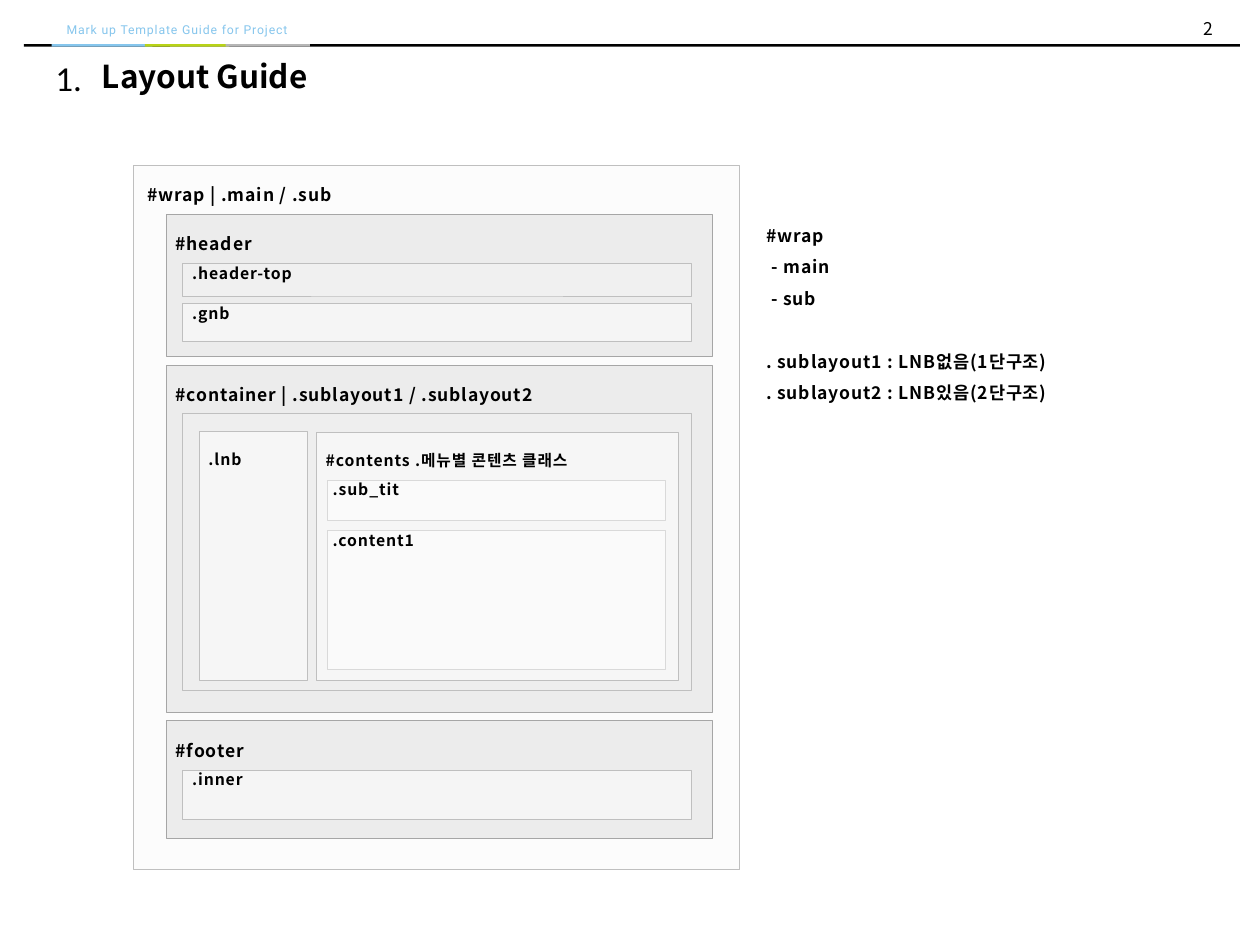
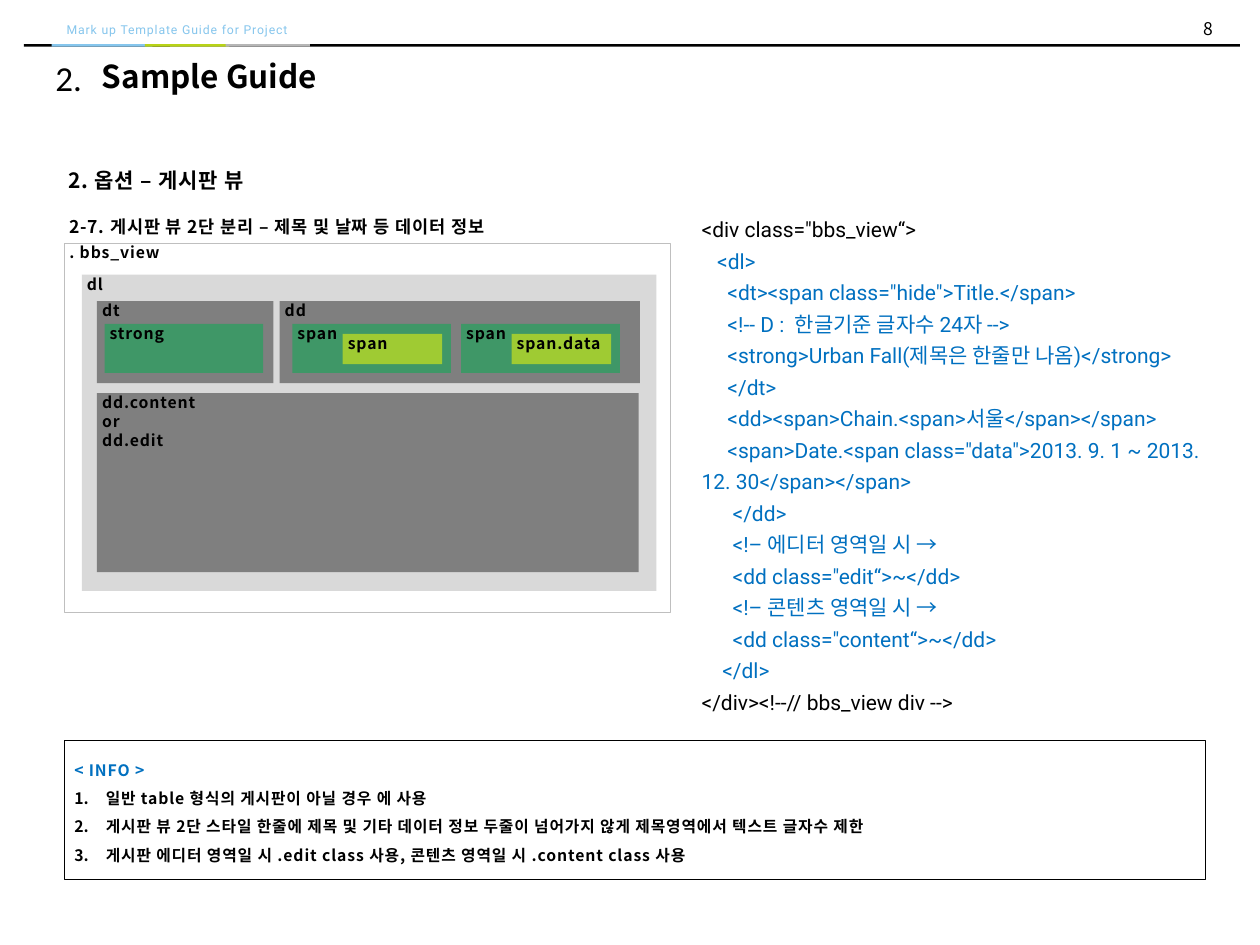
from lxml import etree
from pptx import Presentation
from pptx.dml.color import RGBColor
from pptx.enum.shapes import MSO_SHAPE
from pptx.enum.text import MSO_ANCHOR, PP_ALIGN
from pptx.oxml.ns import qn
from pptx.util import Inches, Pt

RECT = MSO_SHAPE.RECTANGLE
TOP, MIDDLE = MSO_ANCHOR.TOP, MSO_ANCHOR.MIDDLE
LEFT, CENTER, RIGHT = PP_ALIGN.LEFT, PP_ALIGN.CENTER, PP_ALIGN.RIGHT

COLS, ROWS = 100, 75
HEX = {
    "black": "000000", "white": "FFFFFF", "paper": "FAFAFA", "mist": "F0F0F0",
    "panel": "DDDDDD", "silver": "B5B5B5", "coal": "262626", "green": "00B050",
    "yellow": "FFFF00", "blue": "0070C0", "sky": "86C6ED", "lime": "B8D317",
    "ash": "B6B6B6", "edge": "BFBFBF", "dark": "A6A6A6", "pale": "D9D9D9",
}
SANS, CODE, PLAIN = "Noto Sans CJK KR", "Roboto", "Calibri"

deck = Presentation()
deck.slide_width, deck.slide_height = Inches(10), Inches(7.5)
CELL = deck.slide_width // COLS


def put(page, at, fill=None, alpha=100, line=None, weight=0.25, pad=(0.4, 0, 0, 0)):
    """Place a rectangle, or a text box when there is no fill; at and pad are in cells."""
    place = [round(v * CELL) for v in at]
    if fill:
        shape = page.shapes.add_shape(RECT, *place)
        shape.shadow.inherit = False
        shape.fill.solid()
        shape.fill.fore_color.rgb = RGBColor.from_string(HEX[fill])
        if alpha < 100:
            tint = shape.fill._xPr.find(qn("a:solidFill"))[0]
            etree.SubElement(tint, qn("a:alpha")).set("val", str(alpha * 1000))
        if line:
            shape.line.color.rgb = RGBColor.from_string(HEX[line])
            shape.line.width = Pt(weight)
        else:
            shape.line.fill.background()
    else:
        shape = page.shapes.add_textbox(*place)
    frame = shape.text_frame
    frame.word_wrap = True
    frame.vertical_anchor = TOP
    (frame.margin_left, frame.margin_top,
     frame.margin_right, frame.margin_bottom) = [round(v * CELL) for v in pad]
    return shape


def write(shape, text, size=9, face=SANS, color="black", bold=True, gap=0.5,
          pitch=None, align=LEFT):
    """Add a paragraph; gap is letter spacing and pitch is line height, in points."""
    frame = shape.text_frame
    para = frame.paragraphs[0]
    if para.runs:
        para = frame.add_paragraph()
    para.alignment = align
    if pitch:
        para.line_spacing = Pt(pitch)
    run = para.add_run()
    run.text = text
    font = run.font
    font.size, font.bold, font.name = Pt(size), bold, face
    font.color.rgb = RGBColor.from_string(HEX[color])
    mark = run._r.get_or_add_rPr()
    if gap:
        mark.set("spc", str(round(gap * 100)))
    etree.SubElement(mark, qn("a:ea")).set("typeface", SANS)
    return para


# Shared header and titles
BOX = (1, 0.5, 1, 0.5)
BAND = 3.5
STRIPES = [(4.1, 8, "sky"), (13.5, 4.7, "ash"), (11.5, 6.7, "lime"), (17.9, 6.7, "ash")]
pages = []
for count, num, title in (("2", "1.", "Layout Guide"), ("8", "2.", "Sample Guide")):
    page = deck.slides.add_slide(deck.slide_layouts[6])
    pages.append(page)
    put(page, (1.9, BAND, 96.5, 0.2), "black")
    spot = put(page, (77.9, 0.8, 19.4, 2.9), pad=BOX)
    spot.text_frame.vertical_anchor = MIDDLE
    write(spot, count, 10, bold=False, gap=0, align=RIGHT)
    write(put(page, (4.3, 1.3, 29.8, 2.2), pad=BOX), "Mark up Template Guide for Project",
          7, CODE, "sky", False)
    for left, wide, tone in STRIPES:
        put(page, (left, BAND, wide, 0.2), tone)
    write(put(page, (2.7, 4, 5.5, 4.4), pad=BOX), num, 20, PLAIN,
          bold=False, gap=0, align=CENTER)
    write(put(page, (7.1, 4, 46.1, 4), pad=BOX), title, 18, gap=0, pitch=21.6)

# Layout guide: place, fill, alpha, line, text, size, left and top padding
first, second = pages
DROP = 1.5
for at, fill, alpha, line, text, size, side, drop in (
    ((10.6, 13.1, 48.1, 55.9), "paper", 60, "edge", "#wrap | .main / .sub", 10, 1.1, DROP),
    ((13.2, 17, 43.3, 11.3), "panel", 50, "dark", "#header", 10, 0.75, DROP),
    ((13.2, 29, 43.3, 27.5), "panel", 50, "dark",
     "#container | .sublayout1 / .sublayout2", 10, 0.75, DROP),
    ((13.2, 57.2, 43.3, 9.3), "panel", 50, "dark", "#footer", 10, 0.75, DROP),
    ((14.5, 20.9, 40.4, 2.6), "mist", 100, "edge", ".header-top", 9, 0.75, 0),
    ((14.5, 32.8, 40.4, 22), "mist", 50, "edge", None, 9, 0.4, 0),
    ((25.1, 34.3, 28.7, 19.7), "white", 50, "edge",
     "#contents .메뉴별 콘텐츠 클래스", 9, 0.75, DROP),
    ((15.8, 34.2, 8.6, 19.8), "white", 50, "edge", ".lnb", 9, 0.75, DROP),
    ((14.5, 61.1, 40.4, 3.9), "white", 50, "edge", ".inner", 9, 0.75, 0),
    ((26, 38.1, 26.8, 3.2), "white", 50, "pale", ".sub_tit", 9, 0.4, 0),
    ((26, 42.1, 26.8, 11), "white", 50, "pale", ".content1", 9, 0.4, 0),
    ((14.5, 24.1, 40.4, 3), "white", 50, "edge", ".gnb", 9, 0.75, 0),
):
    part = put(first, at, fill, alpha, line, pad=(side, drop, 0, 0))
    if text:
        write(part, text, size, pitch=1.2 * size)

note = put(first, (60.4, 17, 31.2, 43.3))
for text, inset, space in (
    ("#wrap", 0, 0), ("- main", 0.4, 0), ("- sub", 0.4, 0),
    (". sublayout1 : LNB없음(1단구조)", 0, 18),
    (". sublayout2 : LNB있음(2단구조)", 0, 0),
):
    para = write(note, text, 10, pitch=18)
    para.space_before = Pt(space)
    para._p.get_or_add_pPr().set("marL", str(round(inset * CELL)))

# Sample guide: nested boxes
parts = [
    ((5.1, 19.3, 48.1, 29.3), "white", 20, "edge", [". bbs_view"]),
    ((6.5, 21.8, 45.6, 25.1), "silver", 50, None, ["dl"]),
    ((7.7, 23.9, 14, 6.5), "coal", 50, None, ["dt"]),
    ((8.3, 25.7, 12.6, 3.9), "green", 50, None, ["strong"]),
    ((22.2, 23.9, 28.6, 6.5), "coal", 50, None, ["dd"]),
    ((7.7, 31.2, 43, 14.2), "coal", 50, None, ["dd.content", "or", "dd.edit"]),
]
for left, inner in ((23.2, "span"), (36.6, "span.data")):
    parts.append(((left, 25.7, 12.6, 3.9), "green", 50, None, ["span"]))
    parts.append(((left + 4, 26.5, 7.9, 2.4), "yellow", 50, None, [inner]))
for at, fill, alpha, line, lines in parts:
    part = put(second, at, fill, alpha, line)
    for text in lines:
        write(part, text, pitch=10.8)

for at, text, size in (
    ((5, 12.3, 40, 3), "2. 옵션 – 게시판 뷰", 12),
    ((5.1, 16.3, 44, 2.5), "2-7. 게시판 뷰 2단 분리 – 제목 및 날짜 등 데이터 정보", 10),
):
    write(put(second, at), text, size, pitch=1.8 * size)

# Sample guide: markup, with the first-line indent in steps
STEP = 0.41
code = put(second, (54.7, 16.2, 42.5, 41.4), pad=BOX)
for depth, text in (
    (0, '<div class="bbs_view“>'),
    (3, "<dl>"),
    (5, '<dt><span class="hide">Title.</span>'),
    (5, "<!-- D :  한글기준 글자수 24자 -->"),
    (5, "<strong>Urban Fall(제목은 한줄만 나옴)</strong>"),
    (5, "</dt>"),
    (5, "<dd><span>Chain.<span>서울</span></span>"),
    (5, '<span>Date.<span class="data">2013. 9. 1 ~ 2013. 12. 30</span></span>'),
    (6, "</dd>"),
    (6, "<!– 에디터 영역일 시 →"),
    (6, '<dd class="edit“>~</dd>'),
    (6, "<!– 콘텐츠 영역일 시 →"),
    (6, '<dd class="content“>~</dd>'),
    (4, "</dl>"),
    (0, "</div><!--// bbs_view div -->"),
):
    para = write(code, text, 12, CODE, "blue" if depth else "black", False, 0, 18)
    props = para._p.get_or_add_pPr()
    props.set("marL", "0")
    props.set("indent", str(round(depth * STEP * CELL)))

# Sample guide: numbered notes
info = put(second, (5.1, 58.8, 90.6, 11), "white", 50, "black", 0.75, (0.8, 0.8, 0.8, 0))
write(info, "< INFO >", color="blue", pitch=16.25)
for text in (
    "일반 table 형식의 게시판이 아닐 경우 에 사용",
    "게시판 뷰 2단 스타일 한줄에 제목 및 기타 데이터 정보 두줄이 넘어가지 않게 "
    "제목영역에서 텍스트 글자수 제한",
    "게시판 에디터 영역일 시 .edit class 사용, 콘텐츠 영역일 시 .content class 사용",
):
    props = write(info, text, pitch=16.25)._p.get_or_add_pPr()
    props.set("marL", str(round(2.5 * CELL)))
    props.set("indent", str(round(-2.5 * CELL)))
    etree.SubElement(props, qn("a:buFont")).set("typeface", "+mj-lt")
    etree.SubElement(props, qn("a:buAutoNum")).set("type", "arabicPeriod")

deck.save("out.pptx")
